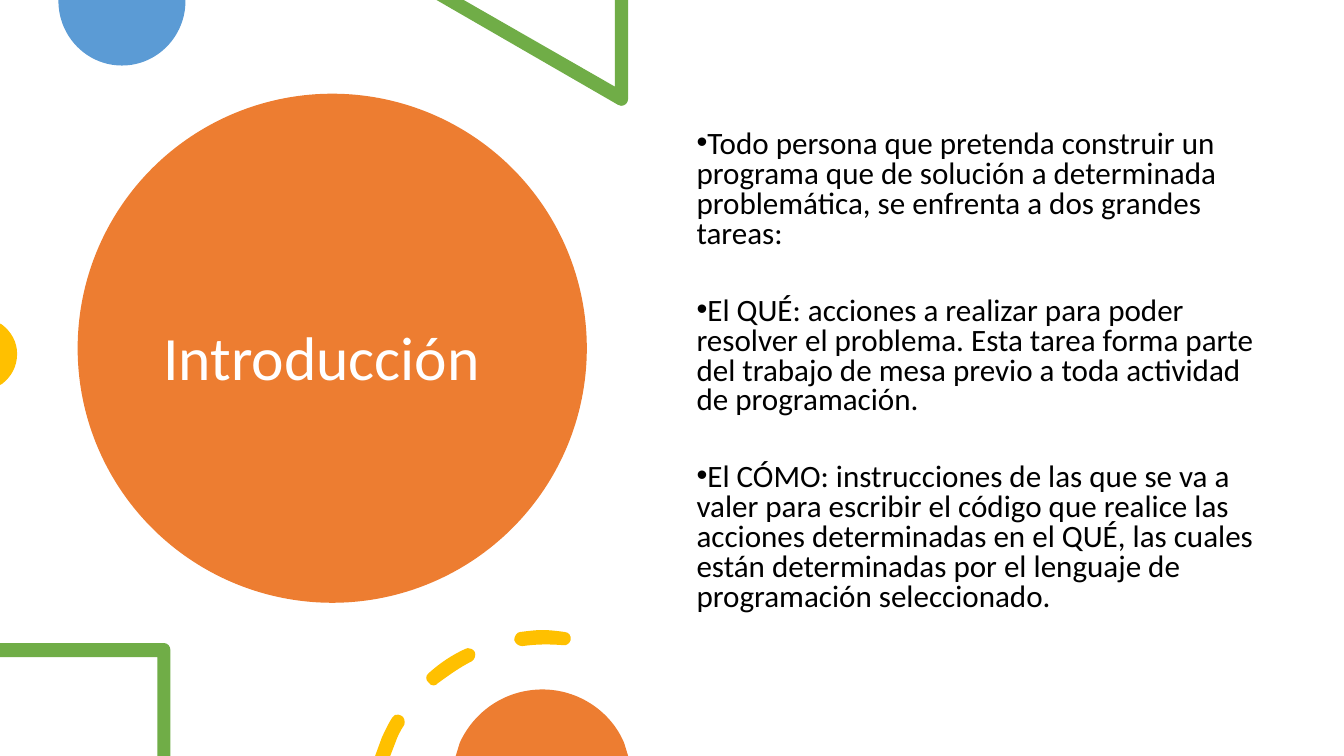
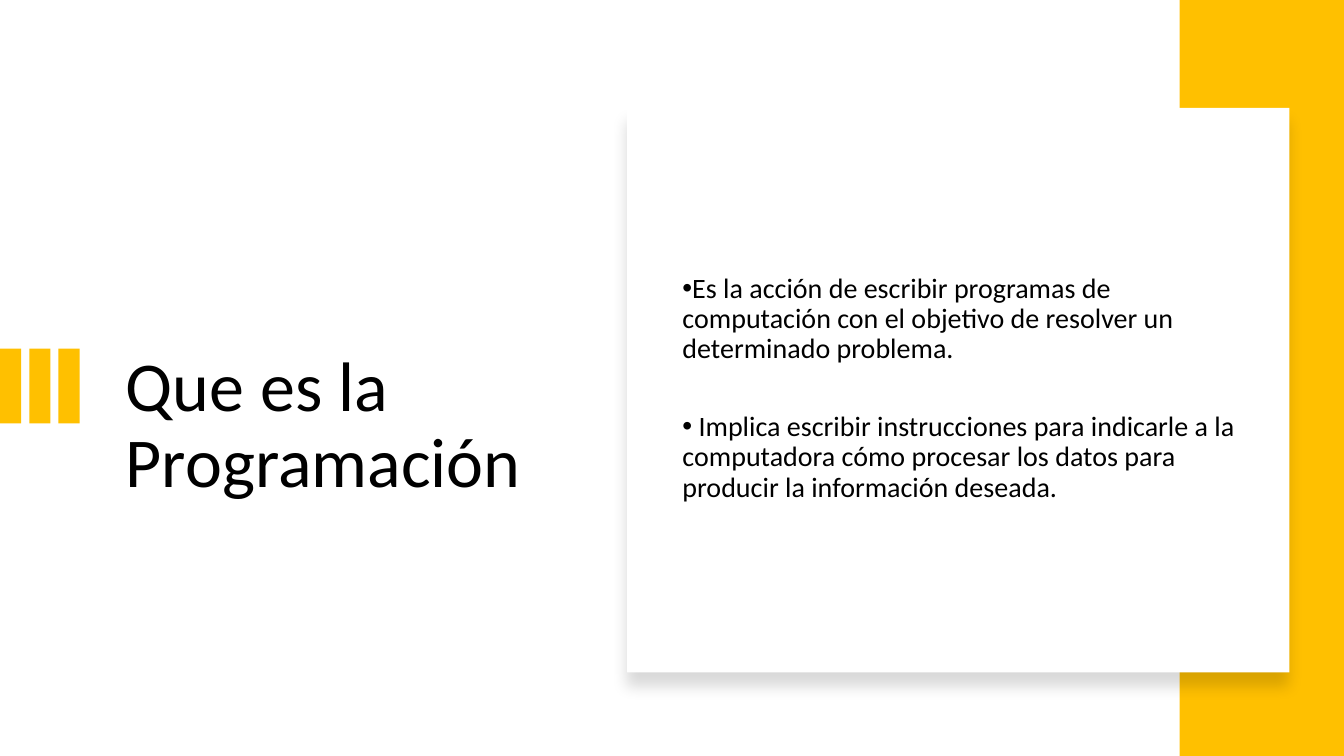
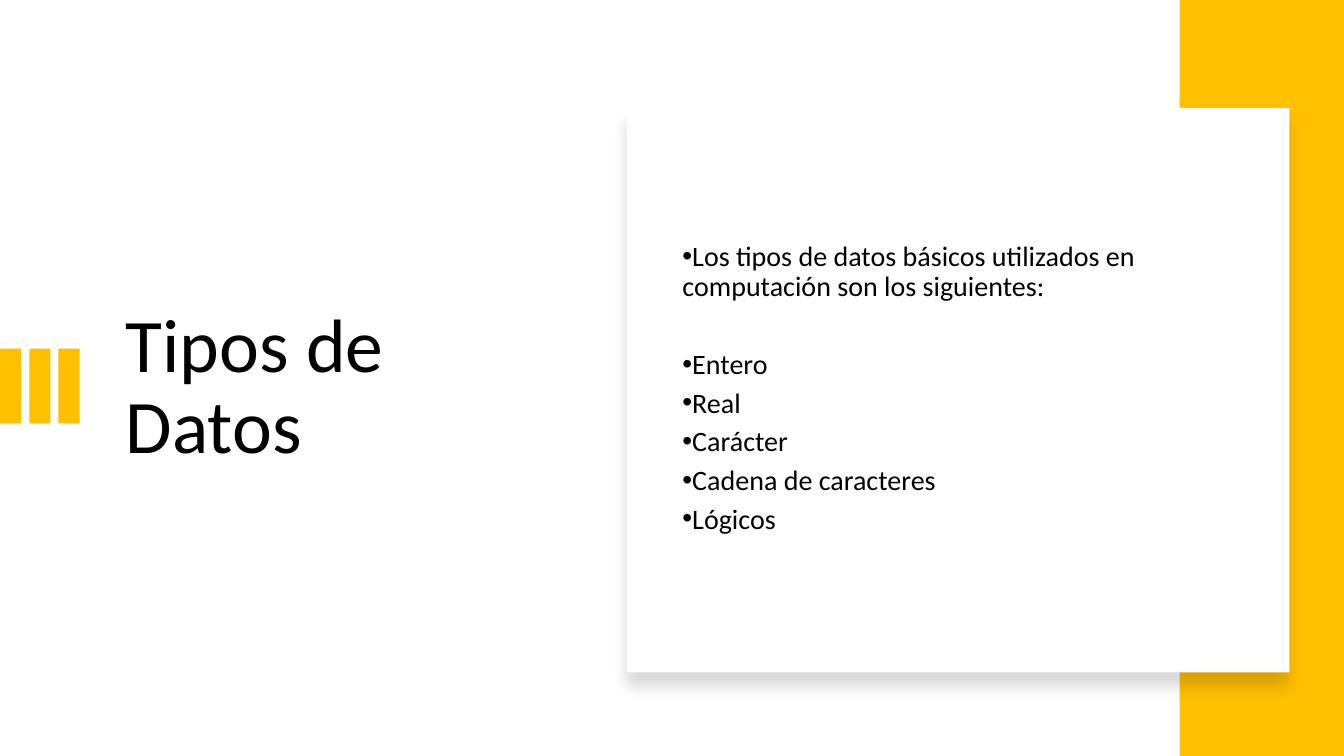
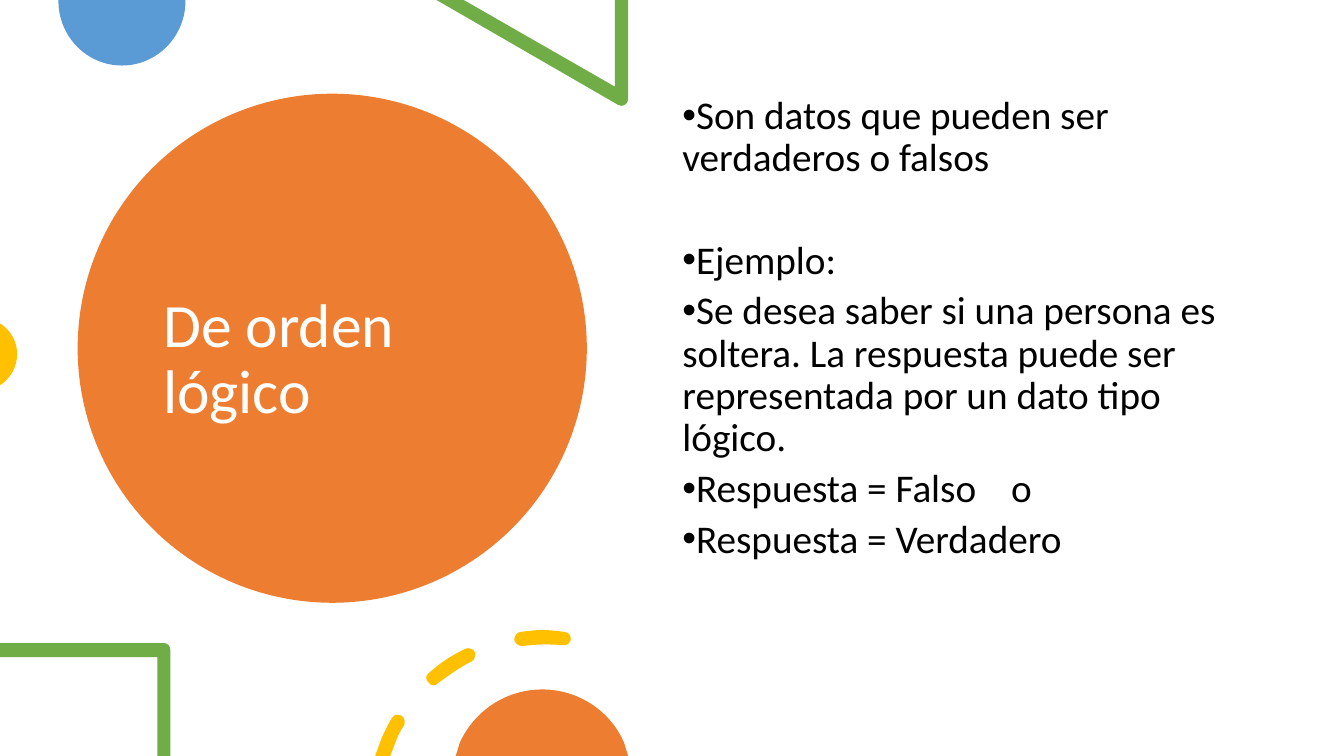
from lxml.etree import SubElement
from pptx import Presentation
from pptx.dml.color import RGBColor
from pptx.enum.shapes import MSO_SHAPE as Preset
from pptx.enum.text import MSO_ANCHOR as Anchor
from pptx.oxml.ns import qn
from pptx.util import Inches, Pt

COLORS = {
    "orange": "ED7D31",
    "blue": "5B9BD5",
    "green": "70AD47",
    "yellow": "FFC000",
    "white": "FFFFFF",
    "black": "000000",
}
FONT = "Calibri"
WIDTH, HEIGHT = 13.33, 7.5
LINE_HEIGHT = 1.22  # natural line height relative to the font size
PARAGRAPH_GAP = 6

# Outlines in inches: a pair is a corner, six numbers are a Bézier curve
BLUE_CIRCLE = [[(1.84, 0), (0.58, 0), (0.58, 0.01), (0.58, 0.36, 0.86, 0.65, 1.21, 0.65),
                (1.56, 0.65, 1.84, 0.36, 1.84, 0.01)]]
GREEN_TRIANGLE = [[(6.23, 0), (6.1, 0), (6.1, 0.86), (4.6, 0), (4.33, 0), (6.13, 1.04),
                   (6.14, 1.05, 6.15, 1.05, 6.16, 1.05), (6.2, 1.05, 6.23, 1.02, 6.23, 0.98)]]
YELLOW_DOT = [[(0, 3.21), (0, 3.82), (0.02, 3.81), (0.11, 3.74, 0.17, 3.64, 0.17, 3.51),
               (0.17, 3.39, 0.11, 3.29, 0.02, 3.22)]]
GREEN_CORNER = [[(1.63, 6.38), (0, 6.38), (0, 6.52), (1.56, 6.52), (1.56, 7.5), (1.69, 7.5),
                 (1.69, 6.45), (1.69, 6.41, 1.66, 6.38, 1.63, 6.38)]]
YELLOW_DASHES = [
    [(3.95, 7.09), (3.93, 7.08, 3.9, 7.1, 3.89, 7.12), (3.85, 7.18, 3.82, 7.25, 3.79, 7.31),
     (3.72, 7.5), (3.87, 7.5), (3.92, 7.37), (3.94, 7.31, 3.97, 7.25, 4.01, 7.19),
     (4.02, 7.16, 4.01, 7.11, 3.98, 7.1), (3.97, 7.09, 3.96, 7.09, 3.95, 7.09)],
    [(4.64, 6.43), (4.63, 6.43, 4.62, 6.43, 4.61, 6.44), (4.48, 6.5, 4.36, 6.58, 4.25, 6.68),
     (4.22, 6.7, 4.22, 6.75, 4.25, 6.77), (4.26, 6.79, 4.28, 6.8, 4.3, 6.8),
     (4.32, 6.8, 4.33, 6.79, 4.34, 6.78), (4.45, 6.7, 4.56, 6.62, 4.68, 6.56),
     (4.71, 6.54, 4.72, 6.5, 4.71, 6.47), (4.69, 6.44, 4.67, 6.43, 4.64, 6.43)],
    [(5.38, 6.25), (5.31, 6.25, 5.24, 6.26, 5.16, 6.27), (5.13, 6.27, 5.1, 6.31, 5.1, 6.35),
     (5.11, 6.38, 5.14, 6.41, 5.18, 6.41), (5.32, 6.39, 5.45, 6.39, 5.58, 6.4),
     (5.62, 6.41, 5.65, 6.38, 5.66, 6.35), (5.67, 6.31, 5.64, 6.27, 5.6, 6.27),
     (5.53, 6.26, 5.45, 6.25, 5.38, 6.25)],
]
ORANGE_DOME = [[(5.38, 6.84), (5.01, 6.84, 4.7, 7.06, 4.56, 7.37), (4.52, 7.5), (6.23, 7.5),
                (6.19, 7.37), (6.06, 7.06, 5.74, 6.84, 5.38, 6.84)]]
UPPER_ORNAMENTS = [
    (BLUE_CIRCLE, "blue"),
    (GREEN_TRIANGLE, "green"),
    (YELLOW_DOT, "yellow"),
]
LOWER_ORNAMENTS = [
    (GREEN_CORNER, "green"),
    (YELLOW_DASHES, "yellow"),
    (ORANGE_DOME, "orange"),
]


# Shapes
def paint(shape, color):
    shape.shadow.inherit = False
    shape.fill.solid()
    shape.fill.fore_color.rgb = RGBColor.from_string(COLORS[color])
    shape.line.fill.background()


def add_preset(shapes, preset, box, color):
    shape = shapes.add_shape(preset, *map(Inches, box))
    paint(shape, color)
    return shape


def list_points(contour):
    """List the corners and curve handles of a contour in EMU."""
    return [(Inches(x), Inches(y))
            for part in contour for x, y in zip(part[::2], part[1::2])]


def bend_curves(shape, contours):
    """Join the three segments drawn for each curve into one Bézier curve."""
    segments = iter(list(shape._element.iter(qn("a:lnTo"))))
    for contour in contours:
        for part in contour[1:]:
            segment = next(segments)
            if len(part) == 6:
                segment.tag = qn("a:cubicBezTo")
                for _ in range(2):
                    handle = next(segments)
                    segment.append(handle[0])
                    handle.getparent().remove(handle)


def add_outline(slide, contours, color):
    first, *others = map(list_points, contours)
    builder = slide.shapes.build_freeform(*first[0])
    builder.add_line_segments(first[1:])
    for points in others:
        builder.move_to(*points[0])
        builder.add_line_segments(points[1:])
    shape = builder.convert_to_shape()
    bend_curves(shape, contours)
    paint(shape, color)


def add_ornaments(slide, ornaments):
    for contours, color in ornaments:
        add_outline(slide, contours, color)


def add_soft_shadow(shape):
    effects = shape._element.spPr.find(qn("a:effectLst"))
    shadow = SubElement(effects, qn("a:outerShdw"), blurRad=str(Pt(11)), dist=str(Pt(10)),
                        dir="5400000", algn="t", rotWithShape="0")
    color = SubElement(shadow, qn("a:srgbClr"), val=COLORS["black"])
    SubElement(color, qn("a:alpha"), val="15000")


# Text
def add_text_frame(slide, box, anchor):
    frame = slide.shapes.add_textbox(*map(Inches, box)).text_frame
    settings = {"word_wrap": True, "vertical_anchor": anchor}
    for name, value in settings.items():
        setattr(frame, name, value)
    return frame


def write(paragraph, text, size, color, spacing, before=0):
    paragraph.line_spacing = spacing
    paragraph.space_before = Pt(before)
    run = paragraph.add_run()
    run.text = text
    for name, value in {"name": FONT, "size": Pt(size)}.items():
        setattr(run.font, name, value)
    run.font.color.rgb = RGBColor.from_string(COLORS[color])


def add_bullet(paragraph, tab=None):
    properties = paragraph._p.get_or_add_pPr()
    properties.set("marL", "0")
    properties.set("indent", "0")
    color = SubElement(properties, qn("a:buClr"))
    SubElement(color, qn("a:srgbClr"), val=COLORS["black"])
    SubElement(properties, qn("a:buFont"), typeface="Arial")
    SubElement(properties, qn("a:buChar"), char="•")
    if tab:
        stops = SubElement(properties, qn("a:tabLst"))
        SubElement(stops, qn("a:tab"), pos=str(Inches(tab)), algn="l")


def add_title(slide, box, text, size, color, drop=0):
    frame = add_text_frame(slide, box, Anchor.MIDDLE)
    frame.margin_top = Inches(0.05 + drop)
    write(frame.paragraphs[0], text, size, color, 0.9)


def add_bullets(slide, box, sections, size, anchor, spacing=0.9):
    """Write sections of bullets, one line's height apart."""
    frame = add_text_frame(slide, box, anchor)
    section_gap = 2 * PARAGRAPH_GAP + size * LINE_HEIGHT * spacing
    paragraph = None
    for section in sections:
        for index, text in enumerate(section):
            before = PARAGRAPH_GAP if index else section_gap
            if paragraph is None:
                paragraph, before = frame.paragraphs[0], 0
            else:
                paragraph = frame.add_paragraph()
            write(paragraph, text, size, "black", spacing, round(before, 1))
            add_bullet(paragraph, 3.26 if "\t" in text else None)


# Slide styles
def add_slide(presentation):
    return presentation.slides.add_slide(presentation.slide_layouts[6])


def add_circle_slide(presentation, title, sections, box, size, spacing=0.9):
    slide = add_slide(presentation)
    add_preset(slide.shapes, Preset.OVAL, (0.77, 0.93, 5.05, 5.05), "orange")
    add_title(slide, (1.52, 1.35, 3.54, 4.45), title, 44, "white")
    add_ornaments(slide, UPPER_ORNAMENTS)
    add_bullets(slide, box, sections, size, Anchor.TOP, spacing)
    add_ornaments(slide, LOWER_ORNAMENTS)


def add_card_slide(presentation, title, title_size, sections, drop=0):
    slide = add_slide(presentation)
    add_title(slide, (1.15, 1.46, 4.26, 4.79), title, title_size, "black", drop)
    stripes = slide.shapes.add_group_shape()
    for index in range(3):
        add_preset(stripes.shapes, Preset.RECTANGLE,
                   (index * 0.29, 3.46, 0.21, 0.74), "yellow")
    add_preset(slide.shapes, Preset.RECTANGLE, (11.7, 0, WIDTH - 11.7, HEIGHT), "yellow")
    card = add_preset(slide.shapes, Preset.RECTANGLE, (6.22, 1.07, 6.57, 5.6), "white")
    add_soft_shadow(card)
    add_bullets(slide, (6.67, 1.46, 5.75, 4.79), sections, 20, Anchor.MIDDLE)


def main():
    presentation = Presentation()
    presentation.slide_width = Inches(WIDTH)
    presentation.slide_height = Inches(HEIGHT)

    add_circle_slide(presentation, "Introducción", [
        ["Todo persona que pretenda construir un programa que de solución a determinada "
         "problemática, se enfrenta a dos grandes tareas:"],
        ["El QUÉ: acciones a realizar para poder resolver el problema. Esta tarea forma parte "
         "del trabajo de mesa previo a toda actividad de programación."],
        ["El CÓMO: instrucciones de las que se va a valer para escribir el código que realice "
         "las acciones determinadas en el QUÉ, las cuales están determinadas por el lenguaje "
         "de programación seleccionado."],
    ], (6.81, 1.25, 5.75, 5.35), 22.2, 0.8)

    add_card_slide(presentation, "Que es la Programación", 50, [
        ["Es la acción de escribir programas de computación con el objetivo de resolver un "
         "determinado problema."],
        [" Implica escribir instrucciones para indicarle a la computadora cómo procesar los "
         "datos para producir la información deseada."],
    ], drop=0.76)

    add_card_slide(presentation, "Tipos de Datos", 54, [
        ["Los tipos de datos básicos utilizados en computación son los siguientes:"],
        ["Entero", "Real", "Carácter", "Cadena de caracteres", "Lógicos"],
    ])

    add_circle_slide(presentation, "De orden lógico", [
        ["Son datos que pueden ser verdaderos o falsos"],
        ["Ejemplo:",
         "Se desea saber si una persona es soltera. La respuesta puede ser representada por "
         "un dato tipo lógico.",
         "Respuesta = Falso\to",
         "Respuesta = Verdadero"],
    ], (6.67, 0.9, 5.75, 5.35), 28)

    presentation.save("out.pptx")


if __name__ == "__main__":
    main()
